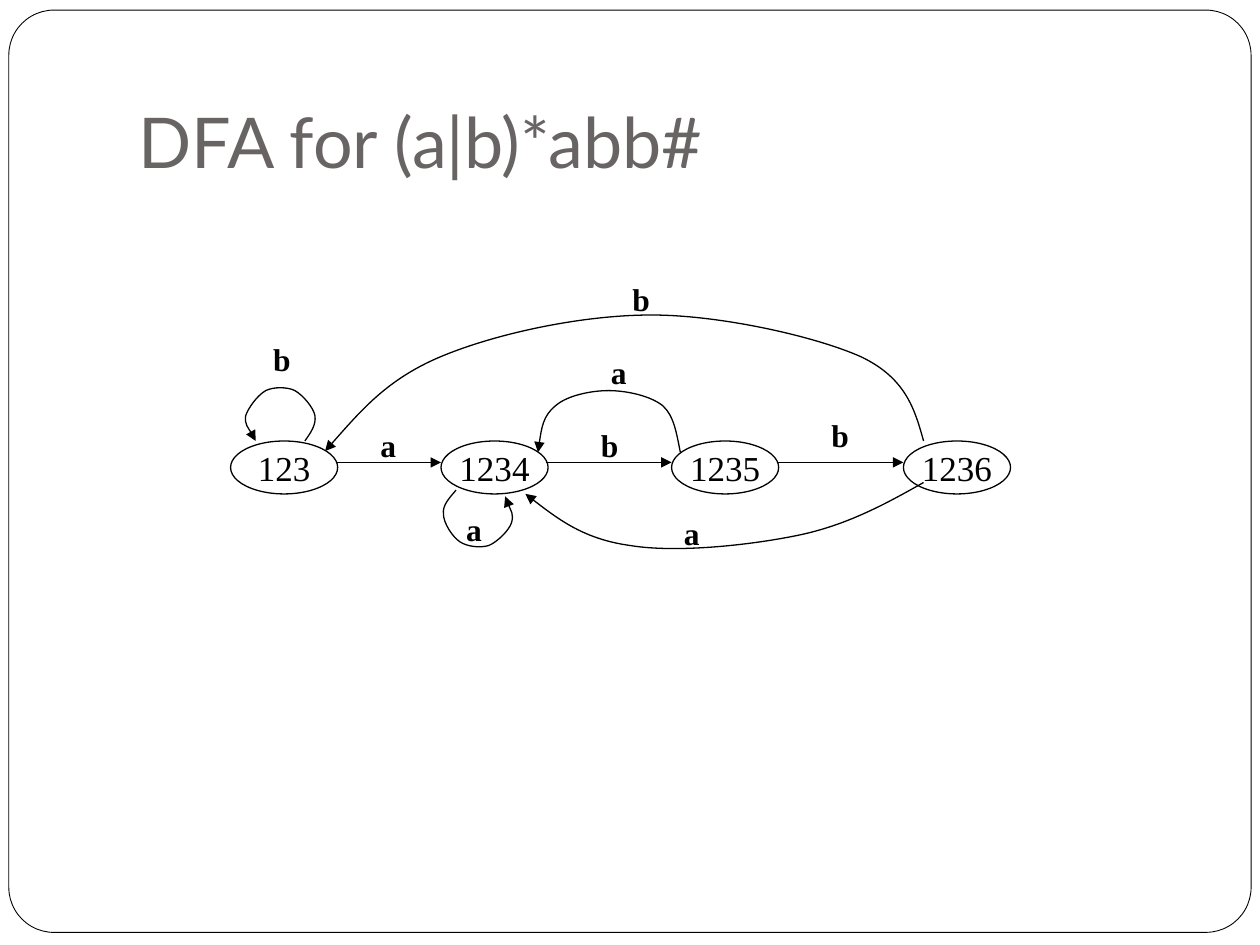
from pptx import Presentation
from pptx.dml.color import RGBColor
from pptx.enum.shapes import MSO_CONNECTOR, MSO_SHAPE
from pptx.enum.text import MSO_ANCHOR, MSO_AUTO_SIZE, PP_ALIGN
from pptx.oxml.ns import qn
from pptx.util import Inches, Pt
from lxml.etree import SubElement

TITLE = "DFA for (a|b)*abb#"
SERIF = "Times New Roman"
BLACK = "000000"
STATES = [("123", 1.83), ("1234", 3.5), ("1235", 5.33), ("1236", 7.17)]
TOP, WIDE, HIGH = 3.5, 0.85, 0.42
STEPS = [(2.67, 3.5), (4.33, 5.33), (6.17, 7.17)]
STEP_Y = 3.67
CURVES = [
    [(2.42, 3.5), (2.47, 3.43), (2.51, 3.37), (2.5, 3.3),
     (2.49, 3.24), (2.41, 3.14), (2.34, 3.1),
     (2.28, 3.07), (2.17, 3.07), (2.11, 3.1),
     (2.04, 3.14), (1.97, 3.24), (1.95, 3.3),
     (1.94, 3.37), (2.02, 3.47), (2.03, 3.5)],
    [(3.62, 3.89), (3.57, 3.95), (3.51, 4.01), (3.52, 4.08),
     (3.52, 4.15), (3.59, 4.26), (3.65, 4.3),
     (3.71, 4.34), (3.81, 4.35), (3.88, 4.33),
     (3.95, 4.3), (4.04, 4.21), (4.06, 4.15),
     (4.08, 4.08), (4.02, 3.98), (4.01, 3.94)],
    [(5.4, 3.59), (5.37, 3.44), (5.35, 3.3), (5.26, 3.22),
     (5.16, 3.14), (4.97, 3.1), (4.83, 3.1),
     (4.69, 3.1), (4.5, 3.14), (4.41, 3.22),
     (4.31, 3.3), (4.29, 3.44), (4.27, 3.59)],
    [(7.33, 3.5), (7.26, 3.25), (7.19, 3), (6.83, 2.83),
     (6.47, 2.67), (5.72, 2.5), (5.17, 2.5),
     (4.61, 2.5), (3.93, 2.65), (3.5, 2.83),
     (3.07, 3.01), (2.83, 3.3), (2.58, 3.58)],
    [(7.33, 3.83), (7.03, 4), (6.72, 4.17), (6.33, 4.25),
     (5.94, 4.33), (5.36, 4.39), (5, 4.33),
     (4.64, 4.28), (4.4, 4.1), (4.17, 3.92)],
]
LABELS = [("b", 2.07, 2.65), ("b", 4.92, 2.17), ("b", 6.5, 3.25),
          ("b", 4.67, 3.33), ("a", 2.92, 3.33), ("a", 4.75, 2.75),
          ("a", 5.33, 4.03), ("a", 3.6, 4)]
LABEL_W = {"a": 0.32, "b": 0.34}

deck = Presentation()
deck.slide_width, deck.slide_height = Inches(10), Inches(7.5)
slide = deck.slides.add_slide(deck.slide_layouts[6])
shapes = slide.shapes


def color(code):
    return RGBColor.from_string(code)


def write(shape, text, size, font=SERIF, tint=BLACK, bold=False,
          align=PP_ALIGN.LEFT, anchor=MSO_ANCHOR.TOP, wrap=False):
    frame = shape.text_frame
    frame.word_wrap = wrap
    frame.vertical_anchor = anchor
    para = frame.paragraphs[0]
    para.alignment = align
    run = para.add_run()
    run.text = text
    run.font.name, run.font.size, run.font.bold = font, Pt(size), bold
    run.font.color.rgb = color(tint)
    return frame


def box(kind, *place, fill=None, width=0.75):
    shape = shapes.add_shape(kind, *map(Inches, place))
    shape.shadow.inherit = False
    if fill:
        shape.fill.solid()
        shape.fill.fore_color.rgb = color(fill)
    else:
        shape.fill.background()
    shape.line.color.rgb = color(BLACK)
    shape.line.width = Pt(width)
    return shape


def arrow(shape):
    shape.line.color.rgb = color(BLACK)
    shape.line.width = Pt(0.75)
    SubElement(shape.line._get_or_add_ln(), qn("a:tailEnd"), type="triangle")


def curve(points):
    start, *rest = [(Inches(x), Inches(y)) for x, y in points]
    pen = shapes.build_freeform(*start)
    pen.add_line_segments(rest, close=False)
    shape = pen.convert_to_shape()
    shape.shadow.inherit = False
    shape.fill.background()
    parts = list(shape._element.iter(qn("a:lnTo")))
    for first, *others in zip(parts[::3], parts[1::3], parts[2::3]):
        first.tag = qn("a:cubicBezTo")
        for part in others:
            first.append(part[0])
            part.getparent().remove(part)
    arrow(shape)


frame = box(MSO_SHAPE.ROUNDED_RECTANGLE, 0.07, 0.08, 9.86, 7.32,
            fill="FFFFFF", width=0.5)
frame.adjustments[0] = 0.049

title = shapes.add_textbox(Inches(1), Inches(0.3), Inches(8.5), Inches(1.25))
write(title, TITLE, 40, font="Lato", tint="696464",
      anchor=MSO_ANCHOR.BOTTOM, wrap=True).margin_bottom = Inches(0.1)

for name, left in STATES:
    state = box(MSO_SHAPE.OVAL, left, TOP, WIDE, HIGH)
    write(state, name, 20, align=PP_ALIGN.CENTER, anchor=MSO_ANCHOR.MIDDLE)

for points in CURVES:
    curve(points)

for left, right in STEPS:
    step = shapes.add_connector(MSO_CONNECTOR.STRAIGHT, Inches(left),
                                Inches(STEP_Y), Inches(right), Inches(STEP_Y))
    arrow(step)
    SubElement(step._element.spPr, qn("a:effectLst"))

for text, left, top in LABELS:
    label = shapes.add_textbox(Inches(left), Inches(top),
                               Inches(LABEL_W[text]), Inches(0.37))
    write(label, text, 18, bold=True).auto_size = MSO_AUTO_SIZE.SHAPE_TO_FIT_TEXT

deck.save("out.pptx")
